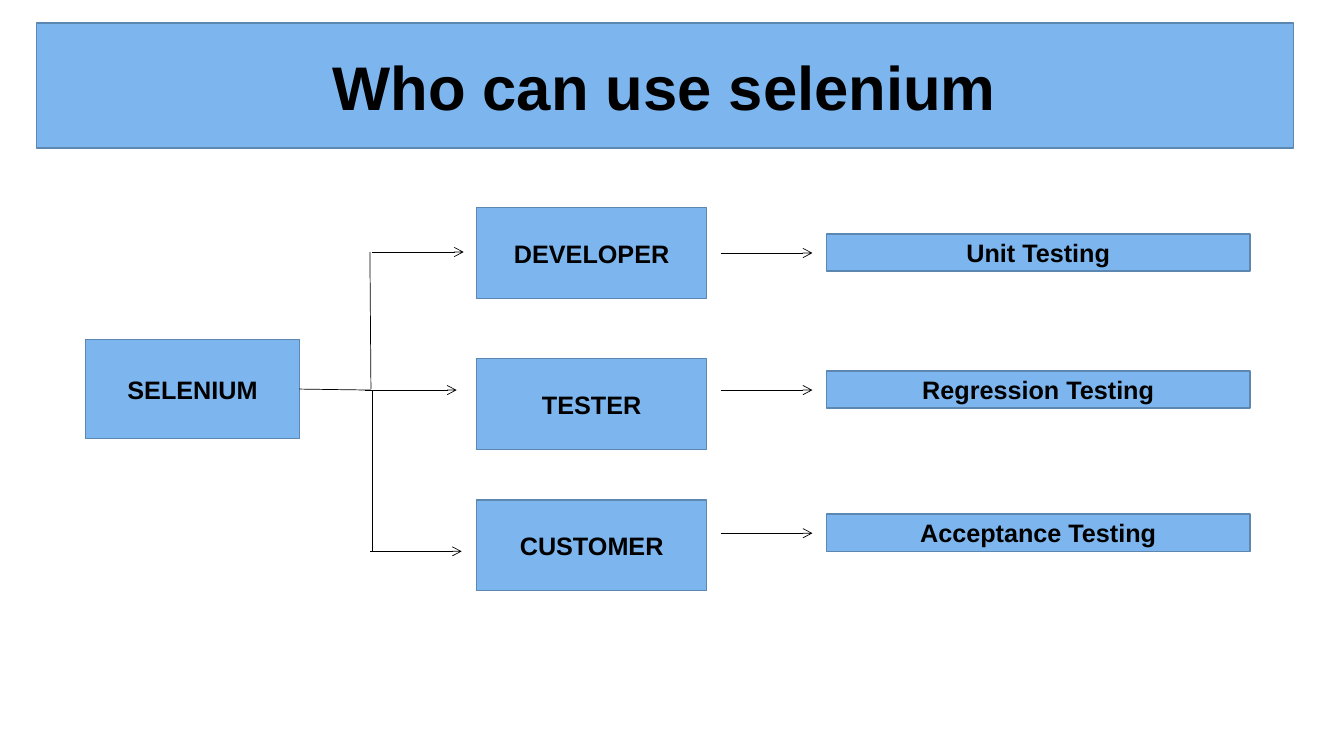
import dataclasses

import lxml.etree
import pptx
import pptx.dml.color
import pptx.enum.shapes
import pptx.enum.text
import pptx.oxml.ns
import pptx.slide
import pptx.util

SKY = pptx.dml.color.RGBColor(0x7D, 0xB6, 0xEF)
STEEL = pptx.dml.color.RGBColor(0x5C, 0x87, 0xB1)
BLACK = pptx.dml.color.RGBColor(0x00, 0x00, 0x00)

# The slide is a grid of square cells, ten to the inch.
CELL = pptx.util.Inches(0.1)
COLUMNS, ROWS = 133.33, 75

LABEL_FORMAT = {"name": "Arial", "bold": True}
FRAME_FORMAT = {"word_wrap": True, "vertical_anchor": pptx.enum.text.MSO_ANCHOR.MIDDLE}


@dataclasses.dataclass(frozen=True)
class Panel:
    label: str
    column: float
    row: float
    columns: float
    rows: float
    points: int = 18


@dataclasses.dataclass(frozen=True)
class Link:
    start: tuple[float, float]
    end: tuple[float, float]
    arrow: bool = False


@dataclasses.dataclass(frozen=True)
class Branch:
    """A user of the tool and the testing that this user does."""

    user: str
    user_row: float
    testing: str
    testing_row: float
    fork: tuple[float, float]
    testing_arrow_row: float


BRANCHES = [
    Branch("DEVELOPER", 20.6, "Unit Testing", 23.2, (36.9, 25), 25.1),
    Branch("TESTER", 35.6, "Regression Testing", 36.8, (36.2, 38.7), 38.7),
    Branch("CUSTOMER", 49.6, "Acceptance Testing", 51, (36.7, 54.7), 52.9),
]
TRUNK = [
    Link((29.7, 38.6), (36.8, 38.7)),
    Link((36.8, 38.6), (36.7, 25)),
    Link((36.9, 38.7), (36.9, 54.8)),
]
ARROW_COLUMNS = 9.1


def cells(count: float) -> int:
    return round(count * CELL)


def set_format(target: object, values: dict[str, object]) -> None:
    for name, value in values.items():
        setattr(target, name, value)


def draw_panel(page: pptx.slide.Slide, panel: Panel) -> None:
    box = page.shapes.add_shape(
        pptx.enum.shapes.MSO_SHAPE.RECTANGLE,
        *map(cells, (panel.column, panel.row, panel.columns, panel.rows)),
    )
    box.shadow.inherit = False
    box.fill.solid()
    box.fill.fore_color.rgb = SKY
    box.line.color.rgb = STEEL
    box.line.width = pptx.util.Pt(1)
    set_format(box.text_frame, FRAME_FORMAT)
    para = box.text_frame.paragraphs[0]
    para.alignment = pptx.enum.text.PP_ALIGN.CENTER
    span = para.add_run()
    span.text = panel.label
    set_format(span.font, LABEL_FORMAT | {"size": pptx.util.Pt(panel.points)})
    span.font.color.rgb = BLACK


def draw_link(page: pptx.slide.Slide, link: Link) -> None:
    connector = page.shapes.add_connector(
        pptx.enum.shapes.MSO_CONNECTOR.STRAIGHT, *map(cells, link.start + link.end)
    )
    connector.line.color.rgb = BLACK
    connector.line.width = pptx.util.Pt(0.5)
    if link.arrow:
        outline = connector.line._get_or_add_ln()
        lxml.etree.SubElement(outline, pptx.oxml.ns.qn("a:tailEnd"), type="arrow")
    lxml.etree.SubElement(connector._element.spPr, pptx.oxml.ns.qn("a:effectLst"))


def arrow_from(column: float, row: float) -> Link:
    return Link((column, row), (column + ARROW_COLUMNS, row), arrow=True)


def main() -> None:
    deck = pptx.Presentation()
    set_format(deck, {"slide_width": cells(COLUMNS), "slide_height": cells(ROWS)})
    page = deck.slides.add_slide(deck.slide_layouts[6])

    panels = [
        Panel("Who can use selenium", 3.6, 2.3, 124.7, 12.4, points=44),
        Panel("SELENIUM", 8.5, 33.7, 21.2, 9.8),
    ]
    links = list(TRUNK)
    for branch in BRANCHES:
        panels.append(Panel(branch.user, 47.3, branch.user_row, 22.8, 9))
        panels.append(Panel(branch.testing, 82, branch.testing_row, 42, 3.7))
        links.append(arrow_from(*branch.fork))
        links.append(arrow_from(71.5, branch.testing_arrow_row))

    for panel in panels:
        draw_panel(page, panel)
    for link in links:
        draw_link(page, link)
    deck.save("out.pptx")


if __name__ == "__main__":
    main()
